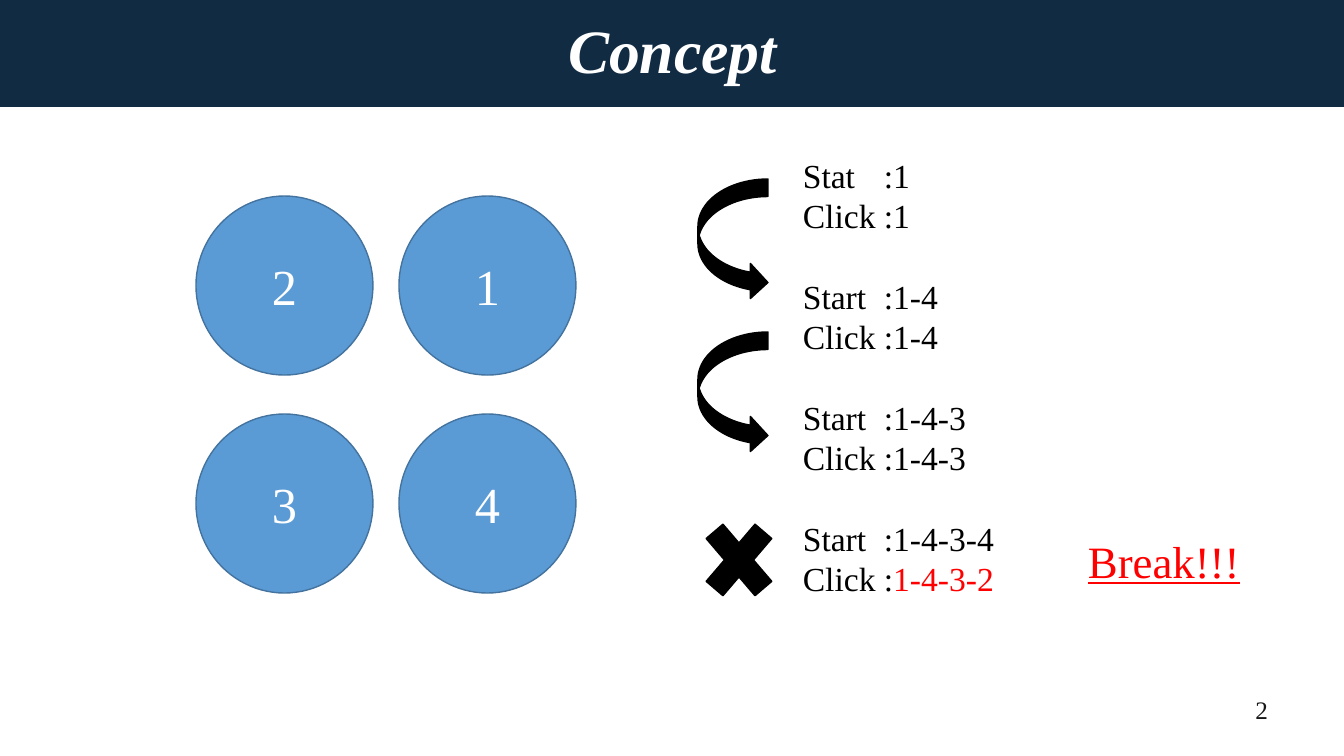
from dataclasses import dataclass

from lxml.etree import SubElement
from pptx import Presentation
from pptx.dml.color import RGBColor
from pptx.enum.shapes import MSO_SHAPE
from pptx.enum.text import MSO_ANCHOR, MSO_AUTO_SIZE, PP_ALIGN
from pptx.oxml.ns import qn
from pptx.util import Emu, Pt


def px(length):
    return Emu(round(length * 914400 / 100.8))


@dataclass(frozen=True)
class Theme:
    font: str = "Times New Roman"
    navy: str = "112B43"
    blue: str = "5B9BD5"
    blue_edge: str = "43739E"
    black: str = "000000"
    white: str = "FFFFFF"
    red: str = "FF0000"
    ink: str = "181717"
    title_size: int = 44
    circle_size: int = 36
    alert_size: int = 32
    step_size: int = 24
    step_line: float = 28.8
    number_size: int = 18


class SlideBuilder:
    def __init__(self, slide, theme):
        self.slide = slide
        self.theme = theme

    def style(self, run, size, color, bold=False, italic=False, underline=False):
        font = run.font
        font.name, font.size = self.theme.font, Pt(size)
        font.color.rgb = RGBColor.from_string(color)
        font.bold, font.italic, font.underline = bold, italic, underline

    def label(self, shape, text, size, color, align=PP_ALIGN.CENTER, **marks):
        frame = shape.text_frame
        frame.text = text
        frame.vertical_anchor = MSO_ANCHOR.MIDDLE
        paragraph = frame.paragraphs[0]
        paragraph.alignment = align
        self.style(paragraph.runs[0], size, color, **marks)
        return paragraph

    def title(self, text, box):
        title = self.slide.shapes.title
        title.left, title.top, title.width, title.height = map(px, box)
        paragraph = self.label(title, text, self.theme.title_size,
                               self.theme.white, bold=True, italic=True)
        paragraph.line_spacing = 0.9
        title.text_frame.auto_size = MSO_AUTO_SIZE.NONE

    def shape(self, kind, box, fill, edge=None):
        shape = self.slide.shapes.add_shape(kind, *map(px, box))
        shape.shadow.inherit = False
        shape.fill.solid()
        shape.fill.fore_color.rgb = RGBColor.from_string(fill)
        if edge:
            shape.line.color.rgb = RGBColor.from_string(edge)
            shape.line.width = Pt(1)
        else:
            shape.line.fill.background()
        return shape

    def band(self, box):
        band = self.shape(MSO_SHAPE.RECTANGLE, box, self.theme.navy)
        # The band lies behind the title
        self.slide.shapes.title.element.addprevious(band.element)

    def text(self, box, text, size, color, align, wrap=True, **marks):
        textbox = self.slide.shapes.add_textbox(*map(px, box))
        textbox.text_frame.word_wrap = wrap
        self.label(textbox, text, size, color, align, **marks)

    def steps(self, box, rounds, colon_at):
        frame = self.slide.shapes.add_textbox(*map(px, box)).text_frame
        frame.word_wrap = True
        lines = [(row, line) for step in rounds for row, line in enumerate(step)]
        for index, (row, (name, value, color)) in enumerate(lines):
            paragraph = frame.paragraphs[0] if index == 0 else frame.add_paragraph()
            paragraph.line_spacing = Pt(self.theme.step_line)
            if index and row == 0:
                paragraph.space_before = Pt(self.theme.step_line)
            for part, ink in ((f"{name}\t:", self.theme.black), (value, color)):
                run = paragraph.add_run()
                run.text = part
                self.style(run, self.theme.step_size, ink)
            # Tab stop that lines up the colons
            tabs = SubElement(paragraph._p.get_or_add_pPr(), qn("a:tabLst"))
            SubElement(tabs, qn("a:tab"), pos=str(px(colon_at)), algn="l")


def main():
    deck = Presentation()
    deck.slide_width, deck.slide_height = px(1344), px(756)
    theme = Theme()
    builder = SlideBuilder(deck.slides.add_slide(deck.slide_layouts[5]), theme)

    # Header and slide number
    builder.title("Concept", (93, -19, 1159, 146))
    builder.band((0, 0, 1344, 107))
    builder.text((976, 689, 302, 40), "2", theme.number_size, theme.ink,
                 PP_ALIGN.RIGHT)

    # Game buttons in a two by two grid
    for row, digits in enumerate(("21", "34")):
        for column, digit in enumerate(digits):
            button = builder.shape(
                MSO_SHAPE.OVAL, (196 + 203 * column, 196 + 218 * row, 177, 179),
                theme.blue, theme.blue_edge)
            builder.label(button, digit, theme.circle_size, theme.white)

    # Rounds of the game
    rounds = [
        [("Stat", "1", theme.black), ("Click", "1", theme.black)],
        [("Start", "1-4", theme.black), ("Click", "1-4", theme.black)],
        [("Start", "1-4-3", theme.black), ("Click", "1-4-3", theme.black)],
        [("Start", "1-4-3-4", theme.black), ("Click", "1-4-3-2", theme.red)],
    ]
    builder.steps((793, 150, 419, 581), rounds, colon_at=81)

    # Arrows to the next round, and the failed round
    for arrow_top in (179, 332):
        builder.shape(MSO_SHAPE.CURVED_RIGHT_ARROW, (698, arrow_top, 70, 121),
                      theme.black, theme.black)
    builder.text((1078, 528, 173, 65), "Break!!!", theme.alert_size, theme.red,
                 PP_ALIGN.LEFT, wrap=False, underline=True)
    builder.shape(MSO_SHAPE.MATH_MULTIPLY, (692, 505, 94, 110),
                  theme.black, theme.black)

    deck.save("out.pptx")


if __name__ == "__main__":
    main()
